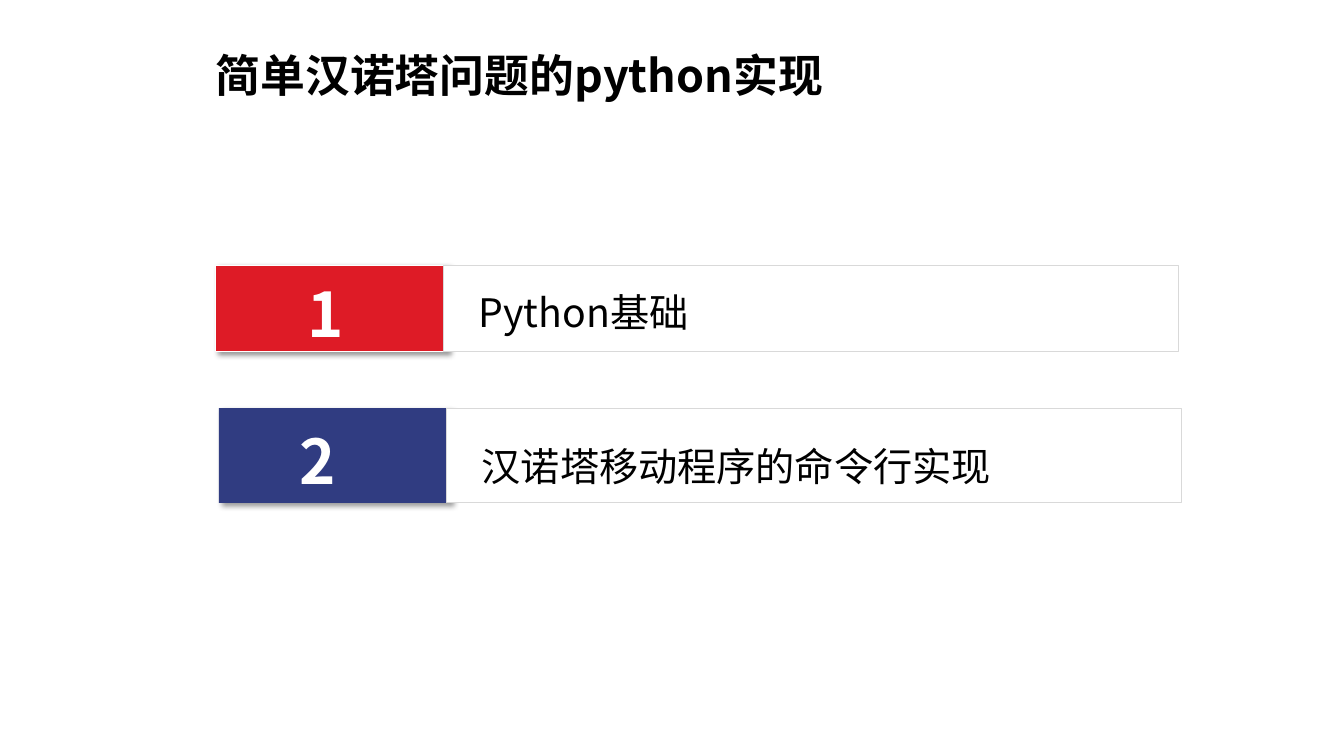
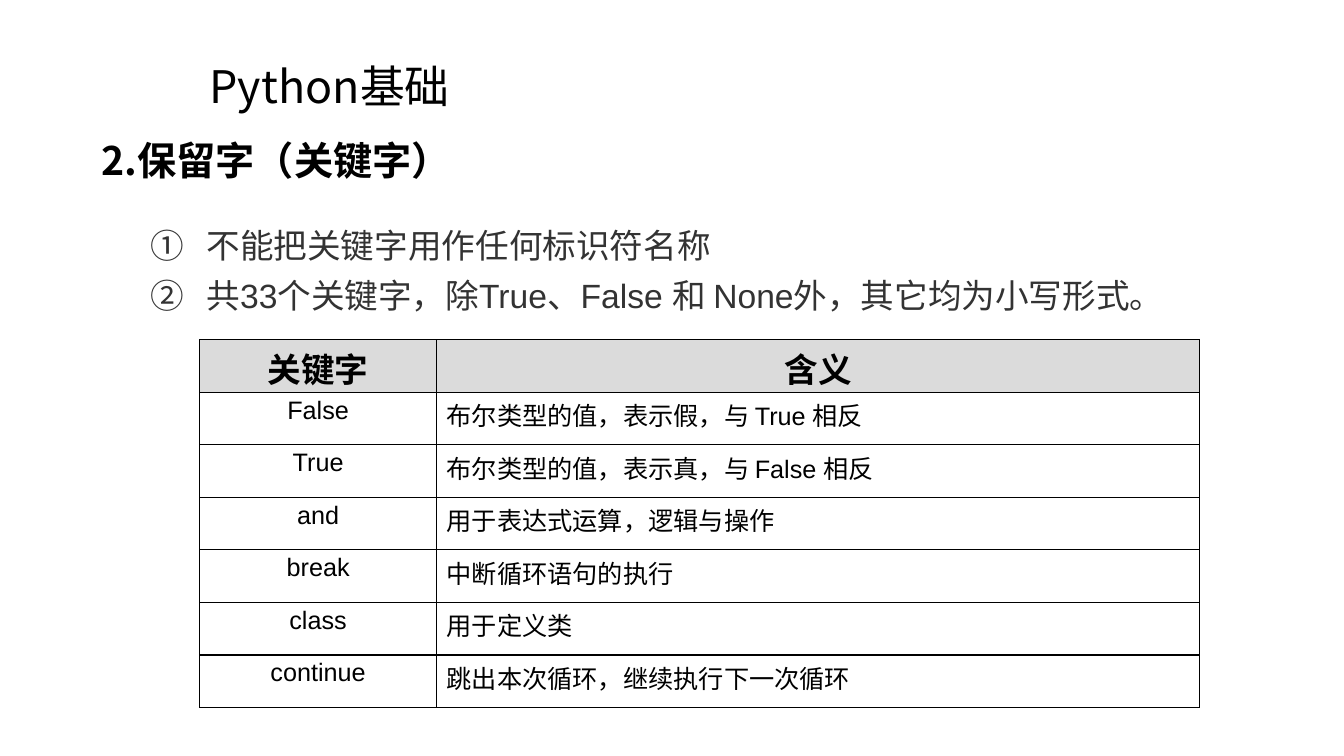
"""Build two slides on a Python solution to the Tower of Hanoi."""
from dataclasses import dataclass

from lxml import etree
from pptx import Presentation
from pptx import util as u
from pptx.dml.color import RGBColor
from pptx.enum import shapes, text
from pptx.oxml import parse_xml
from pptx.oxml.ns import nsdecls, qn


@dataclass(frozen=True)
class Theme:
    """Colours, fonts and type sizes shared by the slides."""
    black: str = "000000"
    white: str = "FFFFFF"
    body: str = "333333"
    red: str = "DE1B26"
    blue: str = "303C81"
    rule: str = "D9D9D9"
    header: str = "DBDBDB"
    cjk: str = "Noto Sans CJK SC"
    latin: str = "Arial"
    number: int = 44
    title: int = 32
    heading: int = 28
    point: int = 24
    cell: int = 18


THEME = Theme()
CENTER = text.PP_ALIGN.CENTER
CHAPTERS = [
    dict(number="1", label="Python基础", color=THEME.red, edge=THEME.white,
         box=(2.14, 2.63, 9.55, 0.86), number_box=(0, 0.06, 2.19, 0.91),
         label_box=(2.51, -0.05, 6.91, 0.88)),
    dict(number="2", label="汉诺塔移动程序的命令行实现", color=THEME.blue, edge=None,
         box=(2.17, 4.05, 9.55, 0.94), number_box=(-0.03, 0.1, 2.02, 0.91),
         label_box=(2.51, 0.06, 7.49, 0.88)),
]
POINTS = ["不能把关键字用作任何标识符名称",
          "共33个关键字，除True、False 和 None外，其它均为小写形式。"]
KEYWORDS = [
    ("关键字", "含义"),
    ("False", "布尔类型的值，表示假，与 True 相反"),
    ("True", "布尔类型的值，表示真，与 False 相反"),
    ("and", "用于表达式运算，逻辑与操作"),
    ("break", "中断循环语句的执行"),
    ("class", "用于定义类"),
    ("continue", "跳出本次循环，继续执行下一次循环"),
]


def inches(box):
    """Convert a box of numbers to lengths."""
    return [u.Inches(value) for value in box]


def apply(target, values):
    """Set attributes from a dict of format values."""
    for name, value in values.items():
        setattr(target, name, value)


def write(paragraph, words, size, color=THEME.black, bold=False, font=THEME.cjk, **layout):
    """Fill a paragraph with one formatted run."""
    apply(paragraph, layout)
    run = paragraph.add_run()
    run.text = words
    apply(run.font, dict(size=u.Pt(size), bold=bold, name=font))
    run.font.color.rgb = RGBColor.from_string(color)
    etree.SubElement(run.font._element, qn("a:ea"), typeface=THEME.cjk)


def add_text(parent, box, lines, size, numbered=False, **style):
    """Add a wrapping text box with one paragraph per line."""
    frame = parent.add_textbox(*inches(box)).text_frame
    apply(frame, dict(word_wrap=True, auto_size=text.MSO_AUTO_SIZE.SHAPE_TO_FIT_TEXT))
    for index, line in enumerate(lines):
        paragraph = frame.add_paragraph() if index else frame.paragraphs[0]
        if numbered:
            properties = paragraph._p.get_or_add_pPr()
            indent = u.Inches(0.56)
            properties.set("marL", str(indent))
            properties.set("indent", str(-indent))
            etree.SubElement(properties, qn("a:buAutoNum"), type="circleNumDbPlain")
        write(paragraph, line, size, **style)


def add_panel(parent, box, fill, edge=None, shadow=False):
    """Add a filled rectangle with an optional edge and shadow."""
    shape = parent.add_shape(shapes.MSO_SHAPE.RECTANGLE, *inches(box))
    shape.shadow.inherit = False
    shape.fill.solid()
    shape.fill.fore_color.rgb = RGBColor.from_string(fill)
    if edge:
        shape.line.color.rgb = RGBColor.from_string(edge)
        shape.line.width = u.Pt(0.75)
    else:
        shape.line.fill.background()
    if shadow:
        shape._element.spPr.find(qn("a:effectLst")).append(parse_xml(
            f'<a:outerShdw {nsdecls("a")} blurRad="{u.Pt(4)}" dist="{u.Pt(3)}" '
            f'dir="2700000" algn="tl" rotWithShape="0"><a:srgbClr val="{THEME.black}">'
            '<a:alpha val="40000"/></a:srgbClr></a:outerShdw>'))


def add_chapter(slide, number, label, color, edge, box, number_box, label_box):
    """Add a numbered chapter bar inside its box."""
    left, top, width, height = box
    parent = slide.shapes.add_group_shape().shapes
    tab, panel_start = 2.3, 2.26

    def place(part):
        """Shift a part to the corner of the bar."""
        return (left + part[0], top + part[1], *part[2:])

    add_panel(parent, place((0, 0, tab, height)), color, edge, shadow=True)
    add_panel(parent, place((panel_start, 0, width - panel_start, height)),
              THEME.white, THEME.rule)
    add_text(parent, place(number_box), [number], THEME.number,
             color=THEME.white, bold=True, alignment=CENTER)
    add_text(parent, place(label_box), [label], THEME.heading, line_spacing=1.5)


def add_borders(cell):
    """Draw a thin black line on each side of a cell."""
    properties = cell._tc.get_or_add_tcPr()
    for index, side in enumerate(("lnL", "lnR", "lnT", "lnB")):
        properties.insert(index, parse_xml(
            f'<a:{side} {nsdecls("a")} w="{u.Pt(1)}"><a:solidFill>'
            f'<a:srgbClr val="{THEME.black}"/></a:solidFill></a:{side}>'))


def add_keyword_table(slide, box, first_share=0.237):
    """Add the table of keywords and meanings."""
    width, height = box[2:]
    table = slide.shapes.add_table(len(KEYWORDS), 2, *inches(box)).table
    apply(table, dict(first_row=False, horz_banding=False))
    for column, share in zip(table.columns, (first_share, 1 - first_share)):
        column.width = u.Inches(width * share)
    for row_index, entries in enumerate(KEYWORDS):
        header = row_index == 0
        table.rows[row_index].height = u.Inches(height / len(KEYWORDS))
        for column_index, words in enumerate(entries):
            cell = table.cell(row_index, column_index)
            apply(cell, dict(margin_top=u.Inches(0.04), margin_bottom=0))
            cell.fill.solid()
            cell.fill.fore_color.rgb = RGBColor.from_string(
                THEME.header if header else THEME.white)
            add_borders(cell)
            write(cell.text_frame.paragraphs[0], words,
                  THEME.point if header else THEME.cell, bold=header,
                  font=THEME.cjk if header else THEME.latin,
                  alignment=CENTER if header or column_index == 0 else text.PP_ALIGN.LEFT)


def add_title(slide, box, words, **style):
    """Add a slide title."""
    add_text(slide.shapes, box, [words], THEME.title, **style)


def build_contents(slide):
    """Build the slide that lists the chapters."""
    for chapter in CHAPTERS:
        add_chapter(slide, **chapter)
    add_title(slide, (1.04, 0.42, 8.22, 0.68), "简单汉诺塔问题的python实现",
              bold=True, alignment=CENTER)


def build_keywords(slide):
    """Build the slide on reserved words."""
    add_title(slide, (1.98, 0.27, 8.22, 0.97), "Python基础", line_spacing=1.5)
    add_text(slide.shapes, (0.91, 1.3, 4.9, 0.61), ["2.保留字（关键字）"],
             THEME.heading, bold=True)
    add_text(slide.shapes, (1.39, 2.08, 11.39, 1.21), POINTS, THEME.point, numbered=True,
             color=THEME.body, font=THEME.latin, line_spacing=1.25)
    add_keyword_table(slide, (1.98, 3.37, 9.92, 3.65))


def main():
    """Create and save the presentation."""
    presentation = Presentation()
    apply(presentation, dict(slide_width=u.Inches(13.33), slide_height=u.Inches(7.5)))
    for build in (build_contents, build_keywords):
        build(presentation.slides.add_slide(presentation.slide_layouts[6]))
    presentation.save("out.pptx")


if __name__ == "__main__":
    main()
